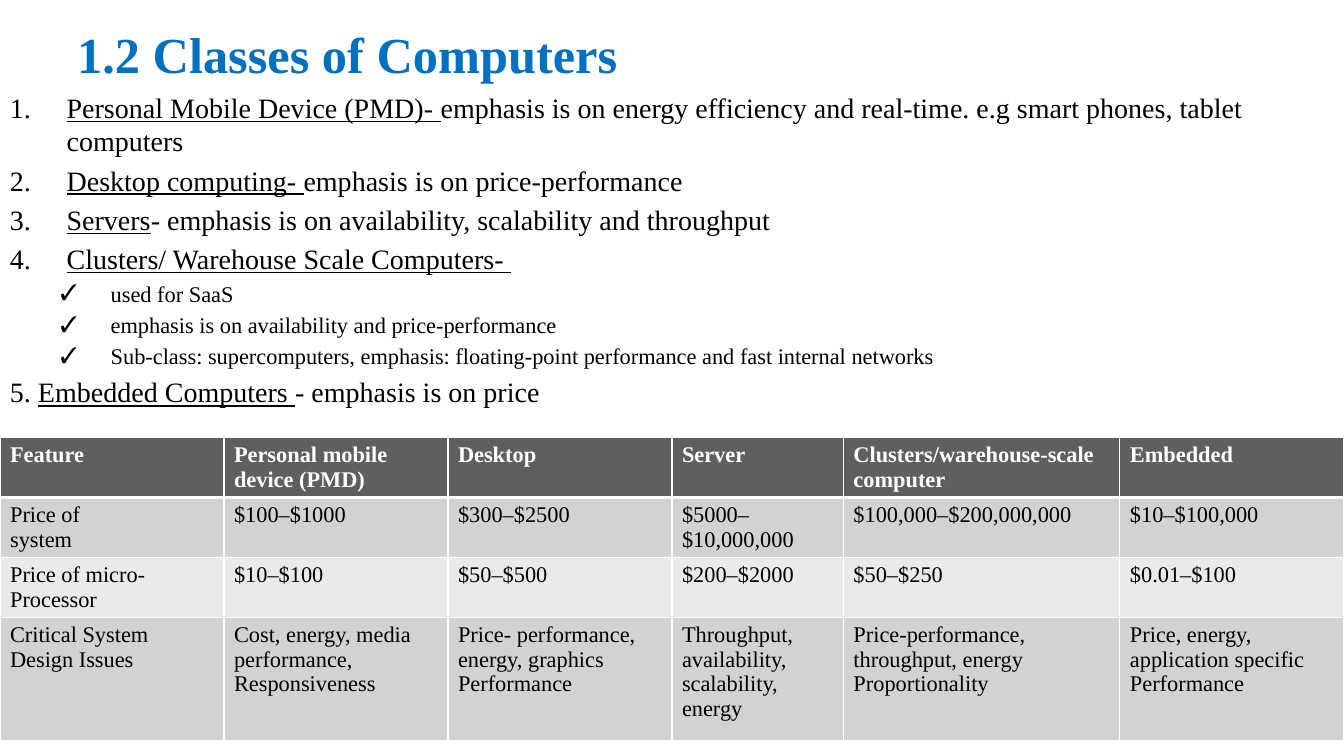
from lxml.etree import SubElement
from pptx import Presentation
from pptx.dml.color import RGBColor
from pptx.enum.text import MSO_ANCHOR
from pptx.oxml.ns import qn
from pptx.util import Pt

FONT = "Times New Roman"
BLACK, WHITE, BLUE = "000000", "FFFFFF", "0070C0"
HEADER_FILL, BAND_FILLS = "5F5F5F", ("D2D2D2", "EAEAEA")

# Each item: kind, underlined lead, plain remainder
CLASSES = [
    ("number", "Personal Mobile Device (PMD)- ",
     "emphasis is on energy efficiency and real-time. e.g smart phones, tablet computers"),
    ("number", "Desktop computing- ", "emphasis is on price-performance"),
    ("number", "Servers", "- emphasis is on availability, scalability and throughput"),
    ("number", "Clusters/ Warehouse Scale Computers- ", ""),
    ("check", "", "used for SaaS"),
    ("check", "", "emphasis is on availability and price-performance"),
    ("check", "", "Sub-class: supercomputers, emphasis: floating-point performance "
                  "and fast internal networks"),
    ("plain", "Embedded Computers ", "- emphasis is on price"),
]
# Each kind: text size, space before, left margin, first-line indent
LEVELS = {"number": (20, 4, 40.5, -40.5), "check": (16, 3.2, 72, -36), "plain": (20, 4, 0, 0)}

FEATURES = [
    ["Feature", "Personal mobile device (PMD)", "Desktop", "Server",
     "Clusters/warehouse-scale computer", "Embedded"],
    ["Price of\nsystem", "$100–$1000", "$300–$2500", "$5000–$10,000,000",
     "$100,000–$200,000,000", "$10–$100,000"],
    ["Price of micro-Processor", "$10–$100", "$50–$500", "$200–$2000",
     "$50–$250", "$0.01–$100"],
    ["Critical System Design Issues", "Cost, energy, media performance, Responsiveness",
     "Price- performance, energy, graphics Performance",
     "Throughput, availability, scalability, energy",
     "Price-performance, throughput, energy Proportionality",
     "Price, energy, application specific Performance"],
]
COLUMN_WIDTHS = (160, 160, 160, 122.5, 197.5, 160)
ROW_HEIGHTS = (42.8, 42.8, 42.8, 88.5)


def color(code):
    return RGBColor.from_string(code)


def set_font(para, size, code, bold=False):
    font = para.font
    font.name, font.size, font.bold = FONT, Pt(size), bold
    font.color.rgb = color(code)


def add_frame(page, left, top, width, height):
    frame = page.shapes.add_textbox(Pt(left), Pt(top), Pt(width), Pt(height)).text_frame
    frame.word_wrap = True
    return frame


def set_bullet(para, kind, margin, indent):
    properties = para._p.get_or_add_pPr()
    properties.set("marL", str(Pt(margin)))
    properties.set("indent", str(Pt(indent)))
    if kind == "plain":
        SubElement(properties, qn("a:buNone"))
        return
    SubElement(properties, qn("a:buFont"), typeface=FONT)
    if kind == "number":
        SubElement(properties, qn("a:buAutoNum"), type="arabicPeriod")
    else:
        SubElement(properties, qn("a:buChar"), char="✓")


def add_title(page, left, top, width, height):
    frame = add_frame(page, left, top, width, height)
    frame.vertical_anchor = MSO_ANCHOR.MIDDLE
    para = frame.paragraphs[0]
    para.text = "1.2 Classes of Computers"
    set_font(para, 36, BLUE, bold=True)


def add_class_list(page, left, top, width, height):
    frame = add_frame(page, left, top, width, height)
    for index, (kind, lead, remainder) in enumerate(CLASSES):
        para = frame.add_paragraph() if index else frame.paragraphs[0]
        size, space, margin, indent = LEVELS[kind]
        para.space_before = Pt(space)
        para.level = 1 if kind == "check" else 0
        set_bullet(para, kind, margin, indent)
        set_font(para, size, BLACK)
        # The last class carries its number as text
        number = "5. " if kind == "plain" else ""
        for text, underline in ((number, False), (lead, True), (remainder, False)):
            if text:
                span = para.add_run()
                span.text = text
                span.font.underline = underline


def set_borders(cell, widths):
    properties = cell._tc.get_or_add_tcPr()
    # Borders come before the fill in cell properties
    for place, (side, width) in enumerate(widths.items()):
        line = properties.makeelement(qn("a:" + side), {"w": str(Pt(width))})
        SubElement(SubElement(line, qn("a:solidFill")), qn("a:srgbClr"), val=WHITE)
        properties.insert(place, line)


def add_feature_table(page, left, top):
    table = page.shapes.add_table(
        len(ROW_HEIGHTS), len(COLUMN_WIDTHS), Pt(left), Pt(top),
        Pt(sum(COLUMN_WIDTHS)), Pt(sum(ROW_HEIGHTS))).table
    for column, width in zip(table.columns, COLUMN_WIDTHS):
        column.width = Pt(width)
    for row_index, (row, height) in enumerate(zip(table.rows, ROW_HEIGHTS)):
        row.height = Pt(height)
        header = row_index == 0
        fill = HEADER_FILL if header else BAND_FILLS[(row_index - 1) % 2]
        for cell, text in zip(row.cells, FEATURES[row_index]):
            cell.text = text
            # A slim bottom margin keeps two lines within the row height
            cell.margin_bottom = Pt(0)
            cell.fill.solid()
            cell.fill.fore_color.rgb = color(fill)
            for para in cell.text_frame.paragraphs:
                set_font(para, 16, WHITE if header else BLACK, bold=header)
            set_borders(cell, {"lnL": 1, "lnR": 1, "lnT": 3 if row_index == 1 else 1,
                               "lnB": 3 if header else 1})


def main():
    deck = Presentation()
    deck.slide_width, deck.slide_height = Pt(960), Pt(540)
    page = deck.slides.add_slide(deck.slide_layouts[6])
    add_title(page, 48, 15, 864, 46)
    add_class_list(page, 0, 61, 960, 252)
    add_feature_table(page, 0, 312.5)
    deck.save("out.pptx")


if __name__ == "__main__":
    main()
